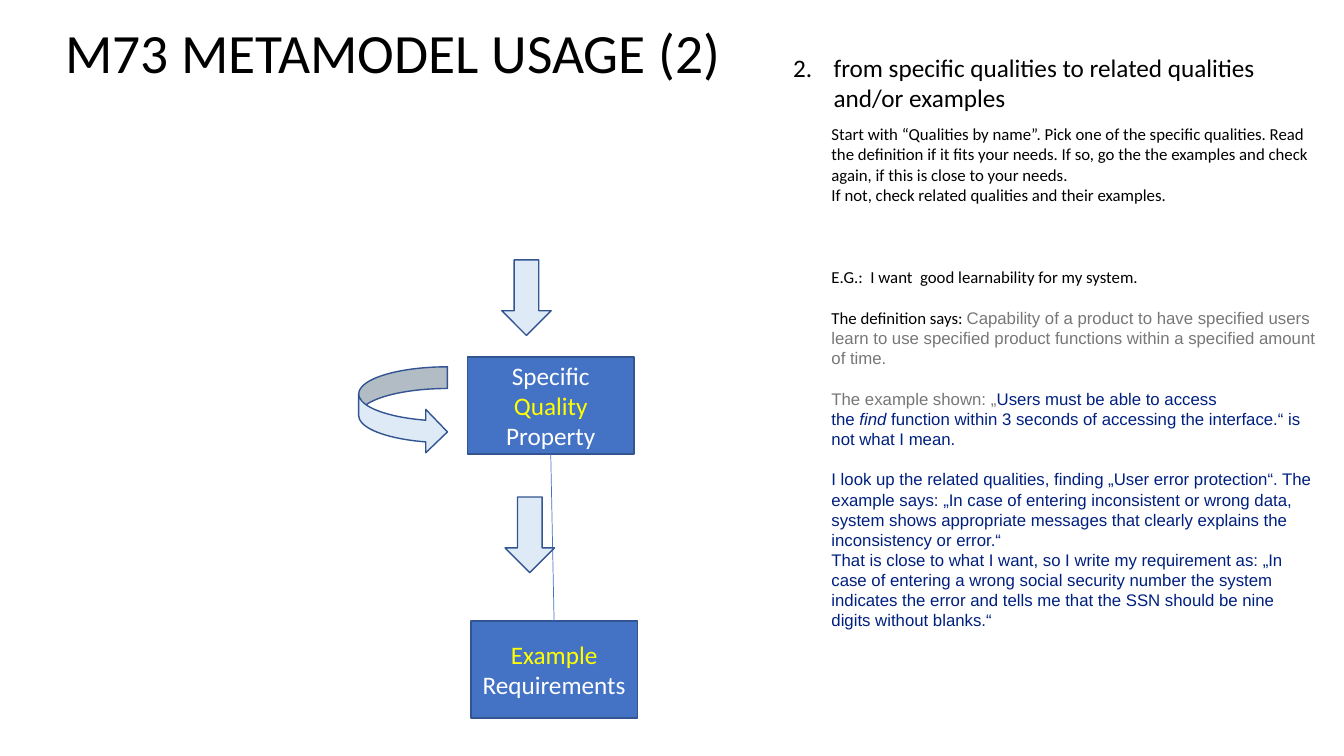
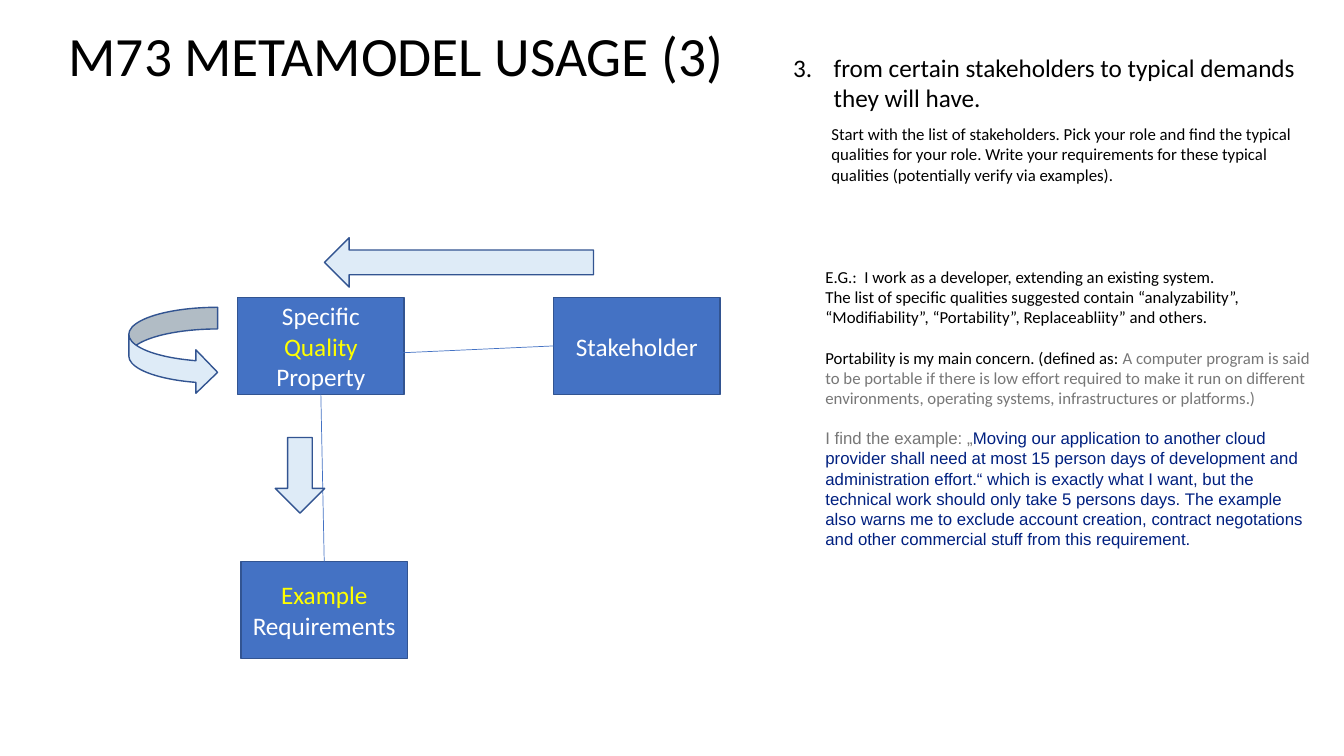
from pptx import Presentation
from pptx.dml.color import RGBColor
from pptx.enum.shapes import MSO_CONNECTOR, MSO_SHAPE
from pptx.enum.text import MSO_ANCHOR, PP_ALIGN
from pptx.oxml.ns import qn
from pptx.util import Pt
from lxml import etree

RECT, DOWN, LEFT_ARROW, CURVED = (
    MSO_SHAPE.RECTANGLE, MSO_SHAPE.DOWN_ARROW,
    MSO_SHAPE.LEFT_ARROW, MSO_SHAPE.CURVED_RIGHT_ARROW)
STRAIGHT = MSO_CONNECTOR.STRAIGHT
MIDDLE = MSO_ANCHOR.MIDDLE
LEFT, CENTER = PP_ALIGN.LEFT, PP_ALIGN.CENTER

BLUE, EDGE, PALE = "4472C4", "325491", "DEEBF7"
BOX_W, BOX_H = 118.8, 69.2
HEAD_INDENT = 29
LINE_GAP = 14.5
NBSP = chr(160)

TITLE = {"size": Pt(39.6), "name": "Calibri", "color": "000000"}
HEAD = {**TITLE, "size": Pt(18)}
WHITE = {**HEAD, "color": "FFFFFF"}
YELLOW = {**HEAD, "color": "FFFF00"}
BODY = {**TITLE, "size": Pt(12)}
GREY = {**BODY, "color": "777777"}
GREY_ARIAL = {**GREY, "name": "Arial"}
NAVY = {**GREY_ARIAL, "color": "002080"}
NAVY_ITALIC = {**NAVY, "italic": True}

QUALITY = [("Specific ", WHITE), ("Quality ", YELLOW), ("Property", WHITE)]
EXAMPLE = [("Example ", YELLOW), ("Requirements", WHITE)]
STAKEHOLDER = [("Stakeholder", WHITE)]

USAGE_2 = {
    "title": "M73 METAMODEL USAGE (2)",
    "title_at": (39.6, 15),
    "number": 2,
    "heading": "from specific qualities to related qualities and/or examples",
    "intro": [
        (0, [("Start with “Qualities by name”. Pick one of the specific qualities. Read the definition if it fits your needs. If so, go the the examples and check again, if this is close to your needs.", BODY)]),
        (0, [("If not, check related qualities and their examples.", BODY)]),
    ],
    "story_at": (586.8, 187.2),
    "story": [
        (0, [("E.G.:  I want  good learnability for my system.", BODY)]),
        (LINE_GAP, [
            ("The definition says: ", BODY),
            ("Capability of a product to have specified users learn to use specified product functions within a specified amount of time.", GREY_ARIAL)]),
        (LINE_GAP, [
            ("The example shown: „", GREY_ARIAL),
            ("Users must be able to access the" + NBSP, NAVY),
            ("find" + NBSP, NAVY_ITALIC),
            ("function within 3 seconds of accessing the interface.“ is not what I mean.", NAVY)]),
        (LINE_GAP, [("I look up the related qualities, finding „User error protection“. The example says: „In case of entering inconsistent or wrong data, system shows appropriate messages that clearly explains the inconsistency or error.“", NAVY)]),
        (0, [("That is close to what I want, so I write my requirement as: „In case of entering a wrong social security number the system indicates the error and tells me that the SSN should be nine digits without blanks.“", NAVY)]),
    ],
}

USAGE_3 = {
    "title": "M73 METAMODEL USAGE (3)",
    "title_at": (41.8, 17.2),
    "number": 3,
    "heading": "from certain stakeholders to typical demands they will have.",
    "intro": [
        (0, [("Start with the list of stakeholders. Pick your role and find the typical qualities for your role. Write your requirements for these typical qualities (potentially verify via examples).", BODY)]),
    ],
    "story_at": (582.5, 186.8),
    "story": [
        (0, [("E.G.:  I work as a developer, extending an existing system.", BODY)]),
        (0, [("The list of specific qualities suggested contain “analyzability”, “Modifiability”, “Portability”, Replaceabliity” and others.", BODY)]),
        (LINE_GAP, [
            ("Portability is my main concern. (defined as: ", BODY),
            ("A computer program is said to be portable if there is low effort required to make it run on different environments, operating systems, infrastructures or platforms.)", GREY)]),
        (LINE_GAP, [
            ("I find the example: „", GREY_ARIAL),
            ("Moving our application to another cloud provider shall need at most 15 person days of development and administration effort.“ which is exactly what I want, but the technical work should only take 5 persons days. The example also warns me to exclude account creation, contract negotations and other commercial stuff from this requirement.", NAVY)]),
    ],
}


def rgb(value):
    return RGBColor.from_string(value)


def add_runs(p, runs):
    for text, style in runs:
        r = p.add_run()
        r.text = text
        for key, value in style.items():
            if key == "color":
                r.font.color.rgb = rgb(value)
            else:
                setattr(r.font, key, value)


def add_title(s, text, left, top):
    sp = s.shapes.title
    for key, value in zip(("left", "top", "width", "height"), (left, top, 828, 49)):
        setattr(sp, key, Pt(value))
    tf = sp.text_frame
    tf.vertical_anchor = MIDDLE
    p = tf.paragraphs[0]
    p.alignment = LEFT
    p.line_spacing = 0.9
    add_runs(p, [(text, TITLE)])


def add_text(s, left, top, width, height, paragraphs):
    sp = s.shapes.add_textbox(Pt(left), Pt(top), Pt(width), Pt(height))
    tf = sp.text_frame
    tf.word_wrap = True
    for i, (gap, runs) in enumerate(paragraphs):
        p = tf.add_paragraph() if i else tf.paragraphs[0]
        p.space_before = Pt(gap)
        add_runs(p, runs)
    return sp


def add_heading(s, number, text):
    sp = add_text(s, 559.4, 34, 380, 51, [(0, [(text, HEAD)])])
    pPr = sp.text_frame.paragraphs[0]._p.get_or_add_pPr()
    pPr.set("marL", str(Pt(HEAD_INDENT)))
    pPr.set("indent", str(-Pt(HEAD_INDENT)))
    etree.SubElement(pPr, qn("a:buAutoNum"), type="arabicPeriod", startAt=str(number))


def add_shape(s, kind, left, top, width, height, fill):
    sp = s.shapes.add_shape(kind, Pt(left), Pt(top), Pt(width), Pt(height))
    sp.shadow.inherit = False
    sp.fill.solid()
    sp.fill.fore_color.rgb = rgb(fill)
    sp.line.color.rgb = rgb(EDGE)
    sp.line.width = Pt(1)
    return sp


def add_box(s, left, top, runs):
    sp = add_shape(s, RECT, left, top, BOX_W, BOX_H, BLUE)
    tf = sp.text_frame
    tf.word_wrap = True
    tf.vertical_anchor = MIDDLE
    p = tf.paragraphs[0]
    p.alignment = CENTER
    add_runs(p, runs)
    return sp


def add_line(s, x1=0, y1=0, x2=0, y2=0):
    line = s.shapes.add_connector(STRAIGHT, Pt(x1), Pt(y1), Pt(x2), Pt(y2))
    line.line.color.rgb = rgb(BLUE)
    line.line.width = Pt(0.5)
    etree.SubElement(line._element.spPr, qn("a:effectLst"))
    return line


def add_down_arrow(s, left, top):
    add_shape(s, DOWN, left, top, 35.3, 54, PALE)


def add_quality_flow(s, left, top):
    quality = add_box(s, left, top, QUALITY)
    example = add_box(s, left + 2.4, top + 188.6, EXAMPLE)
    line = add_line(s)
    line.begin_connect(quality, 2)
    line.end_connect(example, 0)
    add_shape(s, CURVED, left - 77.8, top + 7, 63.4, 62, PALE)
    add_down_arrow(s, left + 26.8, top + 100)


def add_usage_slide(prs, usage):
    s = prs.slides.add_slide(prs.slide_layouts[5])
    add_title(s, usage["title"], *usage["title_at"])
    add_heading(s, usage["number"], usage["heading"])
    add_text(s, 586.8, 85, 365, 65.5, usage["intro"])
    add_text(s, *usage["story_at"], 362, 269, usage["story"])
    return s


def main():
    prs = Presentation()
    prs.slide_width, prs.slide_height = Pt(960), Pt(540)

    s = add_usage_slide(prs, USAGE_2)
    add_quality_flow(s, 334, 255)
    add_down_arrow(s, 358.4, 185.6)

    s = add_usage_slide(prs, USAGE_3)
    add_quality_flow(s, 169.8, 212.5)
    stakeholder = add_box(s, 395.4, 212.5, STAKEHOLDER)
    add_line(s, 286.6, 252).end_connect(stakeholder, 1)
    add_shape(s, LEFT_ARROW, 231.8, 169.8, 192.2, 35.3, PALE)

    prs.save("out.pptx")


if __name__ == "__main__":
    main()
